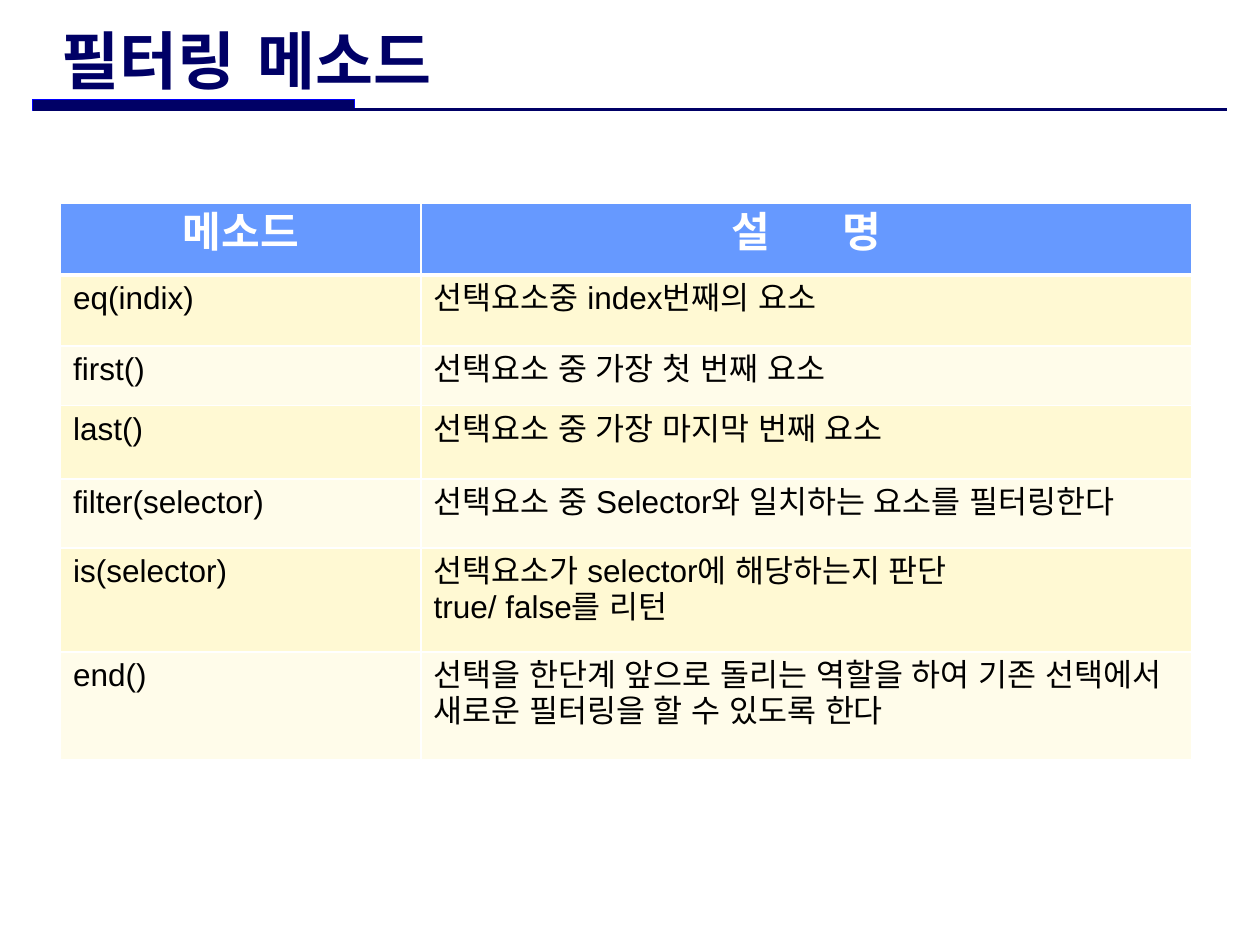
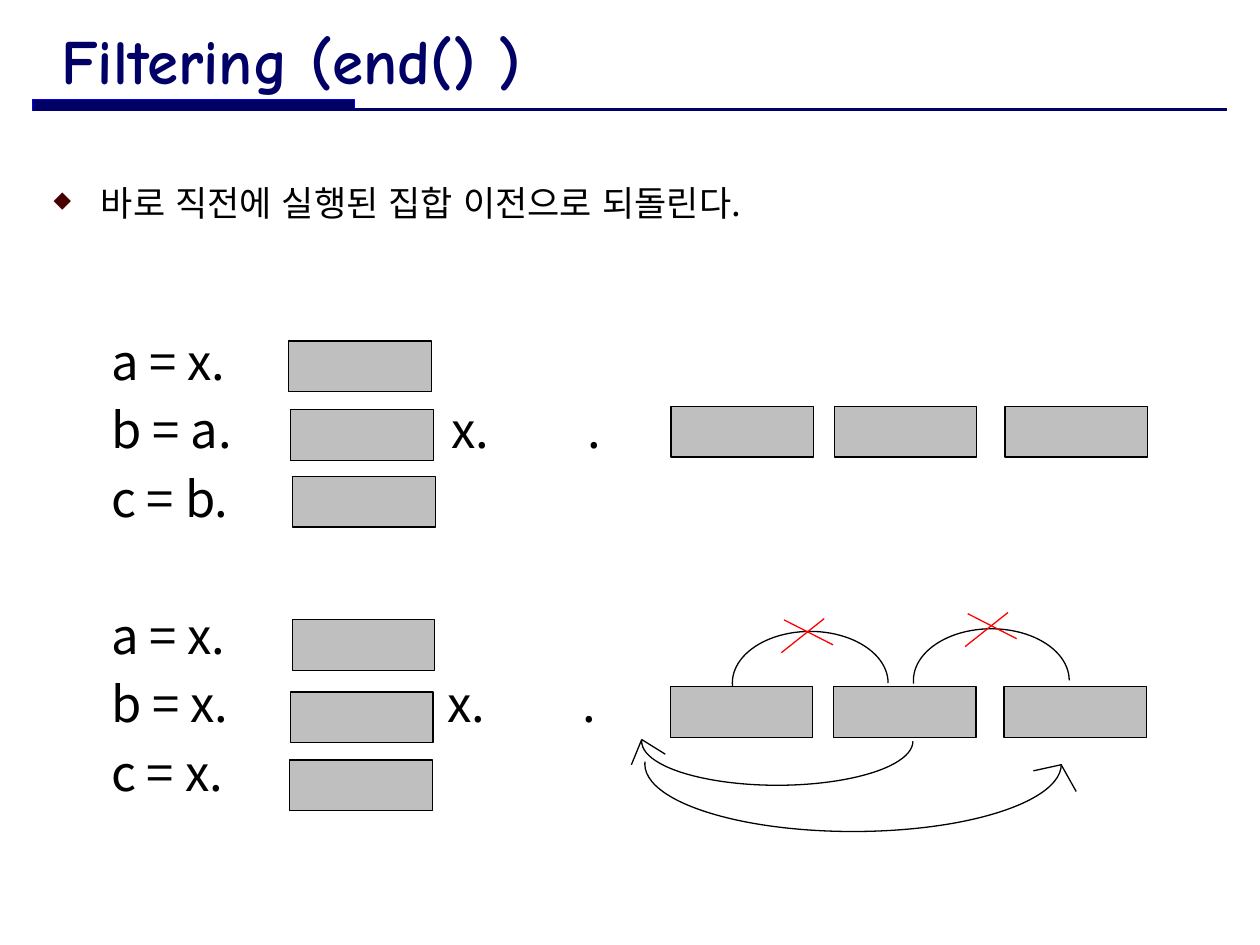
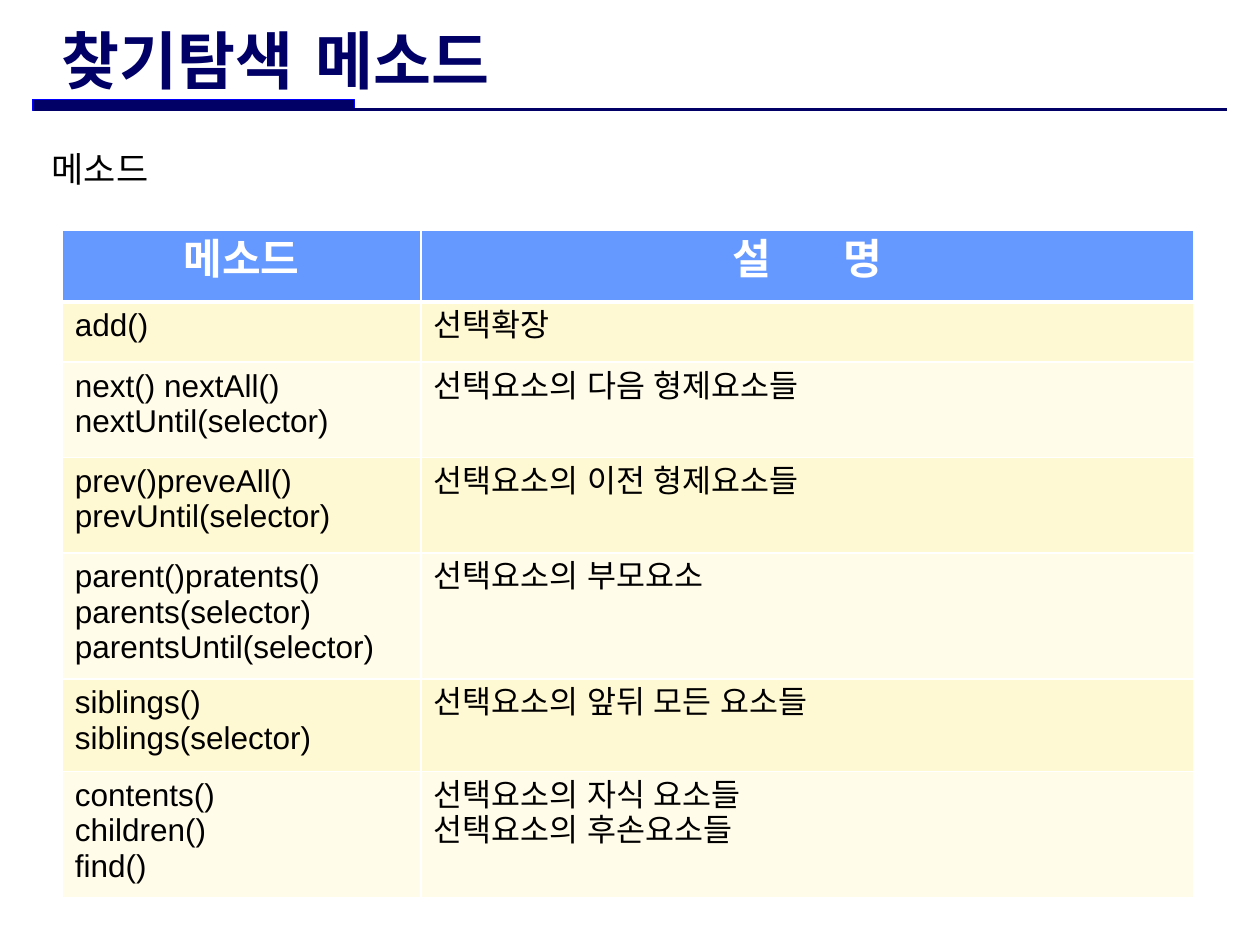
from dataclasses import dataclass

from lxml.etree import SubElement
from pptx import Presentation
from pptx.dml.color import RGBColor
from pptx.enum.shapes import MSO_CONNECTOR, MSO_SHAPE
from pptx.enum.text import MSO_ANCHOR, PP_ALIGN
from pptx.oxml.ns import qn
from pptx.util import Pt


@dataclass(frozen=True)
class Theme:
    navy: str = "000066"
    blue: str = "0000FF"
    header: str = "6699FF"
    bands: tuple = ("FFF9D3", "FFFCEA")
    bullet: str = "460000"
    grey: str = "BFBFBF"
    black: str = "000000"
    white: str = "FFFFFF"
    red: str = "FF0000"
    title_font: str = "Comic Neue"
    table_font: str = "Arial"
    body_font: str = "Noto Sans CJK KR"
    title_size: int = 36
    code_size: int = 28
    header_size: int = 24
    note_size: int = 20
    cell_size: int = 18


theme = Theme()


def style(paragraph, font, size, color=theme.black, bold=False, korean=theme.table_font):
    paragraph.font.name = font
    paragraph.font.size = Pt(size)
    paragraph.font.bold = bold
    paragraph.font.color.rgb = RGBColor.from_string(color)
    properties = paragraph._p.pPr.find(qn("a:defRPr"))
    SubElement(properties, qn("a:ea"), typeface=korean)


def add_line(slide, x1, y1, x2, y2, color=theme.black, width=0.75):
    line = slide.shapes.add_connector(
        MSO_CONNECTOR.STRAIGHT, Pt(x1), Pt(y1), Pt(x2), Pt(y2))
    line.line.color.rgb = RGBColor.from_string(color)
    line.line.width = Pt(width)
    SubElement(line.element.spPr, qn("a:effectLst"))


prs = Presentation()
prs.slide_width, prs.slide_height = Pt(720), Pt(540)

# Band, rule and title on every slide
slides = []
for heading in ("필터링 메소드", "Filtering (end() )", "찾기탐색 메소드"):
    slide = prs.slides.add_slide(prs.slide_layouts[6])
    slides.append(slide)
    band = slide.shapes.add_shape(
        MSO_SHAPE.RECTANGLE, Pt(18.7), Pt(56.9), Pt(184), Pt(6.2))
    band.shadow.inherit = False
    band.fill.solid()
    band.fill.fore_color.rgb = RGBColor.from_string(theme.navy)
    band.line.color.rgb = RGBColor.from_string(theme.blue)
    band.line.width = Pt(0.75)
    add_line(slide, 18.7, 62.5, 701, 62.5, theme.navy, 1.5)
    title = slide.shapes.add_textbox(Pt(28), Pt(15), Pt(489), Pt(37.5)).text_frame
    title.word_wrap = True
    title.vertical_anchor = MSO_ANCHOR.MIDDLE
    title.text = heading
    style(title.paragraphs[0], theme.title_font, theme.title_size, theme.navy, True,
          theme.title_font)
filtering, end_method, searching = slides

# Notes under the title
for slide, left, top, note, bulleted in (
    (end_method, 18.5, 100, "바로 직전에 실행된 집합 이전으로 되돌린다.", True),
    (searching, 22.3, 80.6, "메소드", False),
):
    frame = slide.shapes.add_textbox(Pt(left), Pt(top), Pt(680), Pt(36)).text_frame
    frame.word_wrap = True
    frame.text = note
    paragraph = frame.paragraphs[0]
    if bulleted:
        properties = paragraph._p.get_or_add_pPr()
        properties.set("marL", str(Pt(32)))
        properties.set("indent", str(-Pt(27)))
        SubElement(SubElement(properties, qn("a:buClr")),
                   qn("a:srgbClr"), val=theme.bullet)
        SubElement(properties, qn("a:buSzPct"), val="65000")
        SubElement(properties, qn("a:buChar"), char="◆")
    style(paragraph, theme.body_font, theme.note_size)

# Method tables
filter_methods = (
    ("eq(indix)", "선택요소중 index번째의 요소"),
    ("first()", "선택요소 중 가장 첫 번째 요소"),
    ("last()", "선택요소 중 가장 마지막 번째 요소"),
    ("filter(selector)", "선택요소 중 Selector와 일치하는 요소를 필터링한다"),
    ("is(selector)", "선택요소가 selector에 해당하는지 판단\ntrue/ false를 리턴"),
    ("end()", "선택을 한단계 앞으로 돌리는 역할을 하여 기존 선택에서 새로운 필터링을 할 수 있도록 한다"),
)
search_methods = (
    ("add()", "선택확장"),
    ("next() nextAll()\nnextUntil(selector)", "선택요소의 다음 형제요소들"),
    ("prev()preveAll()\nprevUntil(selector)", "선택요소의 이전 형제요소들"),
    ("parent()pratents()\nparents(selector)\nparentsUntil(selector)", "선택요소의 부모요소"),
    ("siblings()\nsiblings(selector)", "선택요소의 앞뒤 모든 요소들"),
    ("contents()\nchildren()\nfind()", "선택요소의 자식 요소들\n선택요소의 후손요소들"),
)
for slide, left, top, method_width, methods, heights in (
    (filtering, 34.6, 116.2, 206, filter_methods, (41, 40.5, 34, 42, 39.5, 59.5, 61.5)),
    (searching, 35.6, 131.5, 205, search_methods, (41, 34.5, 54.5, 54.5, 71, 53, 70.5)),
):
    rows = (("메소드", ""),) + methods
    table = slide.shapes.add_table(
        len(rows), 2, Pt(left), Pt(top), Pt(646.5), Pt(sum(heights))).table
    table.first_row = table.horz_banding = False
    table.columns[0].width = Pt(method_width)
    table.columns[1].width = Pt(646.5 - method_width)
    for r, row in enumerate(rows):
        table.rows[r].height = Pt(heights[r])
        is_header = r == 0
        for c, wording in enumerate(row):
            cell = table.cell(r, c)
            cell.text = wording
            if is_header and c == 1:
                # Letter spacing sets the two syllables apart
                for syllable, spacing in (("설 ", "1720"), ("명", "0")):
                    run = cell.text_frame.paragraphs[0].add_run()
                    run.text = syllable
                    run._r.get_or_add_rPr().set("spc", spacing)
            for paragraph in cell.text_frame.paragraphs:
                if is_header:
                    paragraph.alignment = PP_ALIGN.CENTER
                    style(paragraph, theme.table_font, theme.header_size, theme.white, True)
                else:
                    style(paragraph, theme.table_font, theme.cell_size)
            borders = cell._tc.get_or_add_tcPr()
            for side in ("lnL", "lnR", "lnT", "lnB"):
                thick = (r, side) in ((0, "lnB"), (1, "lnT"))
                border = SubElement(borders, qn(f"a:{side}"), w=str(Pt(3 if thick else 1)))
                SubElement(SubElement(border, qn("a:solidFill")),
                           qn("a:srgbClr"), val=theme.white)
            cell.fill.solid()
            cell.fill.fore_color.rgb = RGBColor.from_string(
                theme.header if is_header else theme.bands[(r - 1) % 2])

# Code lines, with tab stops for the chained calls
for top, statements, stops in (
    (184.2, ("a = x.", "b = a.\tx.\t.", "c = b."), (194.5, 272)),
    (340.7, ("a = x.", "b = x.\tx.\t.", "c = x."), (192, 269.5)),
):
    frame = end_method.shapes.add_textbox(Pt(63.5), Pt(top), Pt(300), Pt(117)).text_frame
    frame.word_wrap = True
    frame.margin_left = frame.margin_right = frame.margin_top = frame.margin_bottom = 0
    frame.text = "\n".join(statements)
    for paragraph in frame.paragraphs:
        paragraph.line_spacing = Pt(39)
        tabs = SubElement(paragraph._p.get_or_add_pPr(), qn("a:tabLst"))
        for stop in stops:
            SubElement(tabs, qn("a:tab"), pos=str(Pt(stop)), algn="l")
        style(paragraph, theme.body_font, theme.code_size)

# Method boxes: beside the code lines, then in the two chains
code_boxes = [(165, 194.8), (166.2, 234), (167.2, 272.2),
              (167, 354), (166, 395.5), (165.5, 434.2)]
chain_boxes = [(x + shift, y) for y, shift in ((232.2, 0.5), (392.3, 0))
               for x in (383, 476.2, 573.7)]
for x, y in code_boxes + chain_boxes:
    method = end_method.shapes.add_shape(
        MSO_SHAPE.RECTANGLE, Pt(x), Pt(y), Pt(81.5), Pt(29))
    method.shadow.inherit = False
    method.fill.solid()
    method.fill.fore_color.rgb = RGBColor.from_string(theme.grey)
    method.line.color.rgb = RGBColor.from_string(theme.black)
    method.line.width = Pt(0.75)

# Arcs: crossed out above the chain, returning below it
for x, y, width, height, below in (
    (418.5, 360.8, 89, 59, False),
    (522, 359.3, 89, 59, False),
    (366.7, 398.5, 155, 50.3, True),
    (368.5, 398.2, 238, 77, True),
):
    arc = end_method.shapes.add_shape(
        MSO_SHAPE.ARC, Pt(x), Pt(y), Pt(width), Pt(height))
    arc.adjustments[0], arc.adjustments[1] = 107.57 if below else 106.56, 0
    arc.shadow.inherit = False
    arc.fill.background()
    arc.line.color.rgb = RGBColor.from_string(theme.black)
    arc.line.width = Pt(0.75)
    if below:
        arc.element.spPr.find(qn("a:xfrm")).set("flipV", "1")

# Open arrow tips
for start, tip, end in (
    ((360.8, 437), (366.7, 422.6), (380.2, 431)),
    ((590.5, 440.5), (606.4, 437), (615, 452.3)),
):
    add_line(end_method, *start, *tip)
    add_line(end_method, *tip, *end)

# Red crosses
for x, y in ((446.5, 353.5), (551.5, 350)):
    add_line(end_method, x + 1.5, y + 0.7, x + 29.5, y + 15, theme.red)
    add_line(end_method, x + 24.5, y, x, y + 19.5, theme.red)

prs.save("out.pptx")
